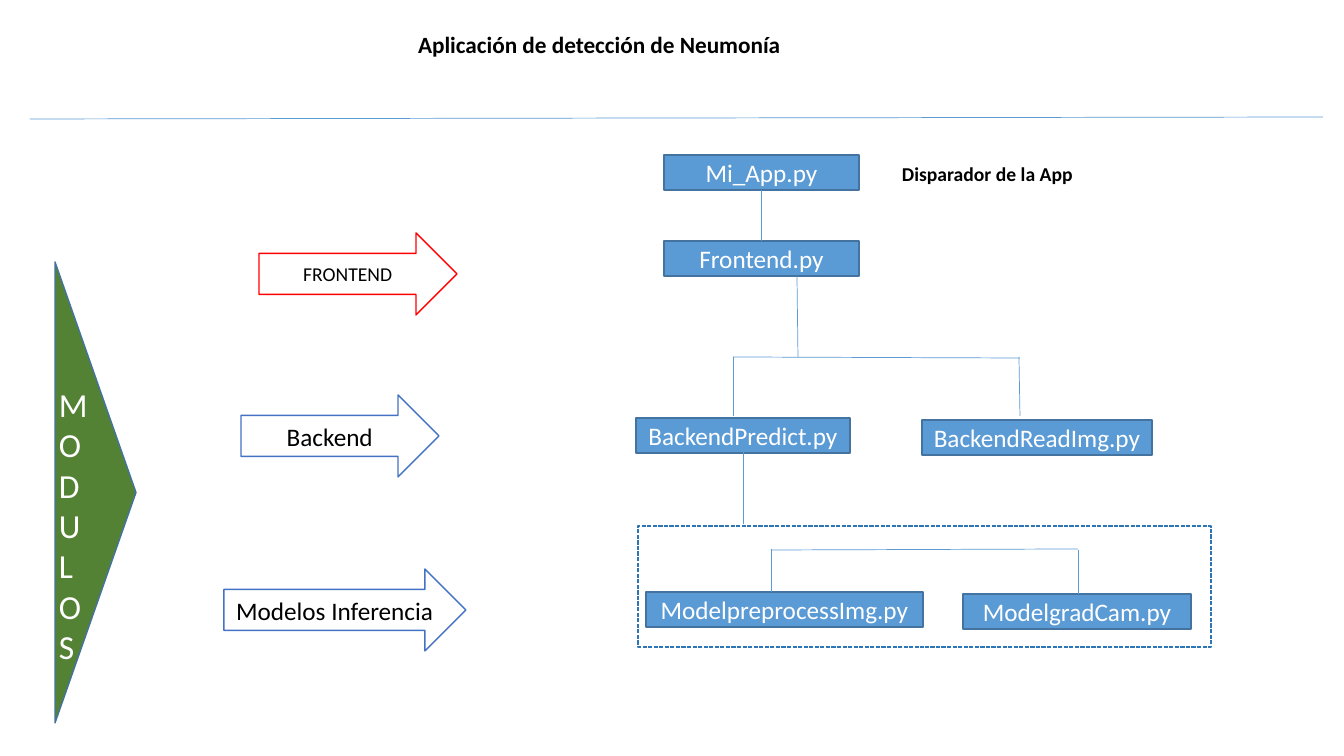
from pptx import Presentation
from pptx.dml.color import RGBColor
from pptx.enum.dml import MSO_LINE
from pptx.enum.shapes import MSO_CONNECTOR, MSO_SHAPE
from pptx.enum.text import MSO_ANCHOR, MSO_AUTO_SIZE, PP_ALIGN
from pptx.oxml.ns import qn
from pptx.util import Pt
from lxml import etree

EMU_PER_PIXEL = 914400 / 100.8
FONT = "Calibri"
BLACK = RGBColor(0x00, 0x00, 0x00)
WHITE = RGBColor(0xFF, 0xFF, 0xFF)
RED = RGBColor(0xFF, 0x00, 0x00)
GREEN = RGBColor(0x54, 0x82, 0x35)
SKY = RGBColor(0x5B, 0x9B, 0xD5)
STEEL = RGBColor(0x43, 0x73, 0x9E)
ROYAL = RGBColor(0x44, 0x72, 0xC4)
DASH_BLUE = RGBColor(0x2E, 0x75, 0xB6)


def px(*lengths):
    return [round(length * EMU_PER_PIXEL) for length in lengths]


class Diagram:
    def __init__(self, slide):
        self.slide = slide

    def set_text(self, frame, lines, size, color, align=PP_ALIGN.LEFT,
                 bold=False, spacing=1.0, anchor=MSO_ANCHOR.MIDDLE):
        frame.text = "\n".join(lines)
        frame.vertical_anchor = anchor
        for paragraph in frame.paragraphs:
            paragraph.alignment = align
            paragraph.line_spacing = spacing
            font = paragraph.font
            font.name, font.size, font.bold = FONT, Pt(size), bold
            font.color.rgb = color

    def title(self, text, box):
        heading = self.slide.shapes.title
        heading.left, heading.top, heading.width, heading.height = px(*box)
        heading.text_frame.auto_size = MSO_AUTO_SIZE.NONE
        self.set_text(heading.text_frame, [text], 16.6, BLACK, bold=True,
                      spacing=0.7, anchor=MSO_ANCHOR.BOTTOM)

    def label(self, lines, box, size, color, wrap=True, **style):
        frame = self.slide.shapes.add_textbox(*px(*box)).text_frame
        frame.word_wrap = wrap
        self.set_text(frame, lines, size, color, **style)

    def shape(self, kind, box, fill, outline, text=None, size=18,
              color=BLACK, dash=None, rotation=0):
        item = self.slide.shapes.add_shape(kind, *px(*box))
        item.shadow.inherit = False
        item.rotation = rotation
        if fill is None:
            item.fill.background()
        else:
            item.fill.solid()
            item.fill.fore_color.rgb = fill
        item.line.color.rgb = outline
        item.line.width = Pt(1)
        if dash:
            item.line.dash_style = dash
        if text:
            self.set_text(item.text_frame, [text], size, color, PP_ALIGN.CENTER)

    def line(self, *ends):
        link = self.slide.shapes.add_connector(MSO_CONNECTOR.STRAIGHT, *px(*ends))
        link.line.color.rgb = SKY
        link.line.width = Pt(0.5)
        etree.SubElement(link.element.spPr, qn("a:effectLst"))


presentation = Presentation()
presentation.slide_width, presentation.slide_height = px(1344, 756)
diagram = Diagram(presentation.slides.add_slide(presentation.slide_layouts[5]))

# Heading and rule
diagram.title("Aplicación de detección de Neumonía", (408, 30, 390, 32))
diagram.line(30, 119, 1323, 117)

# Frame around the inference models
diagram.shape(MSO_SHAPE.RECTANGLE, (638, 526, 573, 121), None, DASH_BLUE,
              dash=MSO_LINE.SQUARE_DOT)

# Layer arrows
for layer, left, top, width, outline, size in [
    ("FRONTEND", 259, 233, 198, RED, 14),
    ("Backend", 241, 395, 198, ROYAL, 18),
    ("Modelos Inferencia", 224, 569, 242, ROYAL, 18),
]:
    diagram.shape(MSO_SHAPE.RIGHT_ARROW, (left, top, width, 82), WHITE,
                  outline, layer, size)

# Modules banner
diagram.shape(MSO_SHAPE.ISOSCELES_TRIANGLE, (-135, 452, 461, 81), GREEN,
              STEEL, rotation=90)
diagram.label("MODULOS", (49, 379, 49, 295), 24, WHITE, wrap=False,
              anchor=MSO_ANCHOR.TOP)

# Source files
for module, left, top, width in [
    ("Mi_App.py", 664, 155, 195),
    ("Frontend.py", 664, 241, 195),
    ("BackendPredict.py", 636, 418, 214),
    ("BackendReadImg.py", 922, 420, 230),
    ("ModelpreprocessImg.py", 646, 592, 277),
    ("ModelgradCam.py", 963, 594, 228),
]:
    diagram.shape(MSO_SHAPE.RECTANGLE, (left, top, width, 35), SKY, STEEL,
                  module, color=WHITE)
diagram.label(["Disparador de la App"], (892, 159, 201, 32), 14, BLACK,
              bold=True, spacing=0.9, anchor=MSO_ANCHOR.BOTTOM)

# Links between files
for ends in [
    (761, 190, 761, 241),
    (797, 276, 798, 357),
    (733, 357, 1020, 358),
    (733, 357, 733, 416),
    (1019, 357, 1020, 416),
    (743, 452, 743, 524),
    (771, 550, 1078, 549),
    (771, 549, 771, 592),
    (1078, 550, 1078, 594),
]:
    diagram.line(*ends)

presentation.save("out.pptx")
